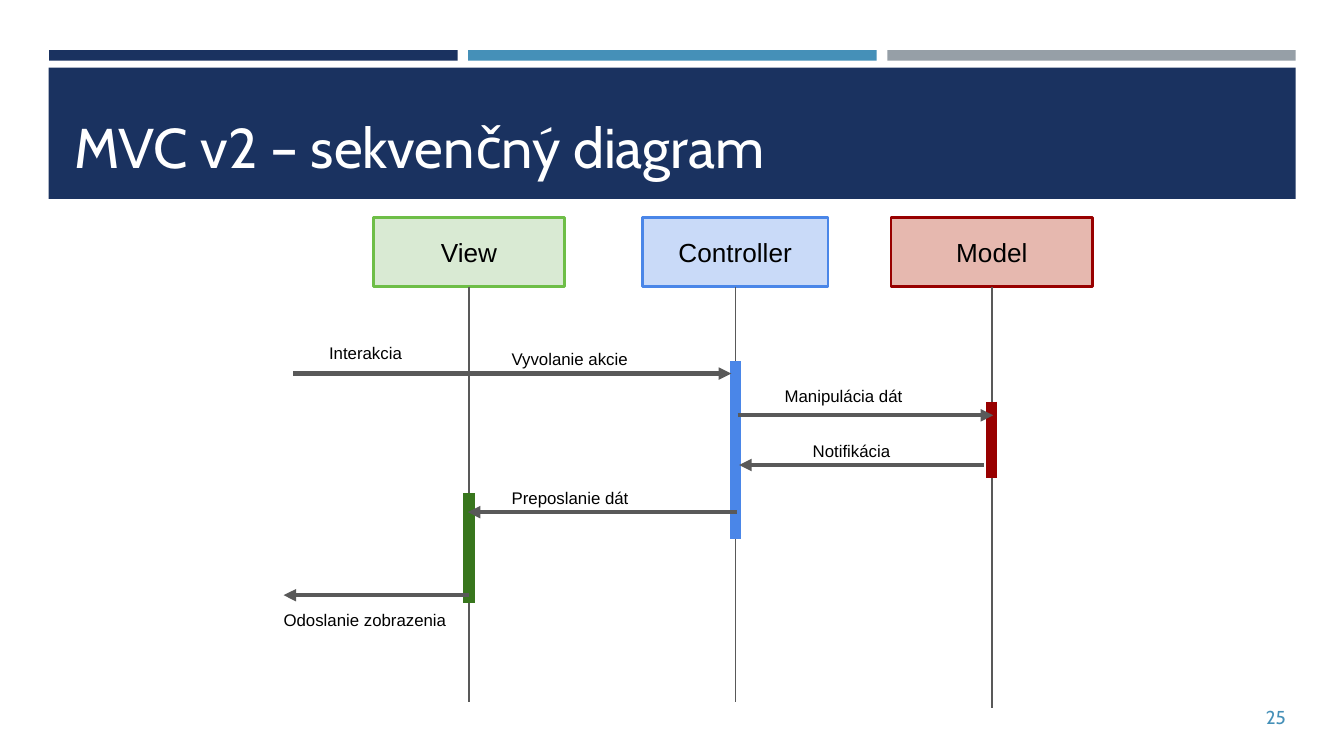
from lxml import etree
from pptx import Presentation
from pptx import util as u
from pptx.dml.color import RGBColor
from pptx.enum import shapes, text
from pptx.oxml.ns import qn

TITLE = "MVC v2 – sekvenčný diagram"
PAGE_NUMBER = "25"

THEME = {
    "navy": "1A3260", "blue": "4590B8", "gray": "969FA7",
    "white": "FFFFFF", "black": "000000", "line": "595959",
    "heading_font": "Cabin", "body_font": "Arial",
    "title": 30, "participant": 14, "label": 9, "number": 10,
    "border": 1.5, "lifeline": 0.75, "activation": 6, "arrow": 2.25,
}

BAR_COLORS = ["navy", "blue", "gray"]

# name, left, width, fill, border, activation color, activation span, lifeline end
PARTICIPANTS = [
    ("View", 7.06, 3.61, "D9EAD3", "6EBE47", "38761D", (9.32, 11.4), 13.26),
    ("Controller", 12.14, 3.51, "C9DAF8", "4A86E8", "4A86E8", (6.83, 10.19), 13.26),
    ("Model", 16.84, 3.81, "E6B8AF", "980000", "980000", (7.59, 9.04), 13.39),
]

# start x, end x, y
ARROWS = [
    (5.54, 13.82, 7.06),
    (13.94, 18.77, 7.85),
    (18.59, 13.97, 8.79),
    (13.92, 8.84, 9.68),
    (8.86, 5.36, 11.25),
]

# text, left, top, width
LABELS = [
    ("Interakcia", 5.97, 6.22, 3.1),
    ("Vyvolanie akcie", 9.42, 6.35, 3.1),
    ("Manipulácia dát", 14.58, 7.04, 3.61),
    ("Notifikácia", 15.11, 8.08, 3.61),
    ("Preposlanie dát", 9.42, 8.97, 5.31),
    ("Odoslanie zobrazenia", 5.11, 11.28, 5.31),
]

BAR_LEFT, BAR_TOP, BAR_WIDTH, BAR_HEIGHT, BAR_GAP = 0.93, 0.95, 7.72, 0.2, 0.2
HEADER_TOP, HEADER_HEIGHT = 4.11, 1.31
LABEL_HEIGHT = 1.19


def color(name):
    return RGBColor.from_string(THEME.get(name, name))


def write(shape, words, size, ink="black", font="body_font", inset=(0.25, 0.25),
          align=text.PP_ALIGN.LEFT, anchor=text.MSO_ANCHOR.TOP):
    frame = shape.text_frame
    frame.text = words
    frame.word_wrap = True
    frame.auto_size = text.MSO_AUTO_SIZE.NONE
    frame.vertical_anchor = anchor
    frame.margin_left = frame.margin_right = u.Cm(inset[0])
    frame.margin_top = frame.margin_bottom = u.Cm(inset[1])
    para = frame.paragraphs[0]
    para.alignment = align
    span = para.runs[0]
    span.font.name = THEME[font]
    span.font.size = u.Pt(THEME[size])
    span.font.color.rgb = color(ink)


def add_box(page, left, top, width, height, fill, border=None):
    box = page.shapes.add_shape(shapes.MSO_SHAPE.RECTANGLE,
                                *map(u.Cm, (left, top, width, height)))
    box.shadow.inherit = False
    box.fill.solid()
    box.fill.fore_color.rgb = color(fill)
    if border:
        box.line.color.rgb = color(border)
        box.line.width = u.Pt(THEME["border"])
    else:
        box.line.fill.background()
    return box


def add_line(page, start, end, ink, weight, arrow=False):
    line = page.shapes.add_connector(shapes.MSO_CONNECTOR.STRAIGHT,
                                     *map(u.Cm, (*start, *end)))
    line.line.color.rgb = color(ink)
    line.line.width = u.Pt(THEME[weight])
    if arrow:
        outline = line.line._get_or_add_ln()
        etree.SubElement(outline, qn("a:tailEnd"), type="triangle")
    etree.SubElement(line._element.spPr, qn("a:effectLst"))


def add_text(page, left, top, width, height, words, size, **style):
    box = page.shapes.add_textbox(*map(u.Cm, (left, top, width, height)))
    write(box, words, size, **style)


def add_heading(page):
    for index, fill in enumerate(BAR_COLORS):
        left = BAR_LEFT + index * (BAR_WIDTH + BAR_GAP)
        add_box(page, left, BAR_TOP, BAR_WIDTH, BAR_HEIGHT, fill)
    add_box(page, 0.92, 1.28, 23.57, 2.48, "navy")
    title = page.shapes.title
    title.left, title.top, title.width, title.height = map(u.Cm, (1.22, 1.47, 22.99, 2.11))
    write(title, TITLE, "title", "white", "heading_font", (0.18, 0.18),
          anchor=text.MSO_ANCHOR.BOTTOM)
    title.element.getparent().append(title.element)
    add_text(page, 23.62, 13.18, 0.86, 0.76, PAGE_NUMBER, "number", ink="blue",
             font="heading_font", inset=(0.18, 0.1), align=text.PP_ALIGN.RIGHT,
             anchor=text.MSO_ANCHOR.MIDDLE)


def add_diagram(page):
    for name, left, width, fill, border, active, span, bottom in PARTICIPANTS:
        center = left + width / 2
        box = add_box(page, left, HEADER_TOP, width, HEADER_HEIGHT, fill, border)
        write(box, name, "participant", align=text.PP_ALIGN.CENTER,
              anchor=text.MSO_ANCHOR.MIDDLE)
        add_line(page, (center, HEADER_TOP + HEADER_HEIGHT), (center, bottom),
                 "line", "lifeline")
        add_line(page, (center, span[0]), (center, span[1]), active, "activation")
    for start, end, y in ARROWS:
        add_line(page, (start, y), (end, y), "line", "arrow", arrow=True)
    for words, left, top, width in LABELS:
        add_text(page, left, top, width, LABEL_HEIGHT, words, "label")


def main():
    deck = Presentation()
    deck.slide_width, deck.slide_height = u.Cm(25.4), u.Cm(14.29)
    page = deck.slides.add_slide(deck.slide_layouts[5])
    add_heading(page)
    add_diagram(page)
    deck.save("out.pptx")


if __name__ == "__main__":
    main()
